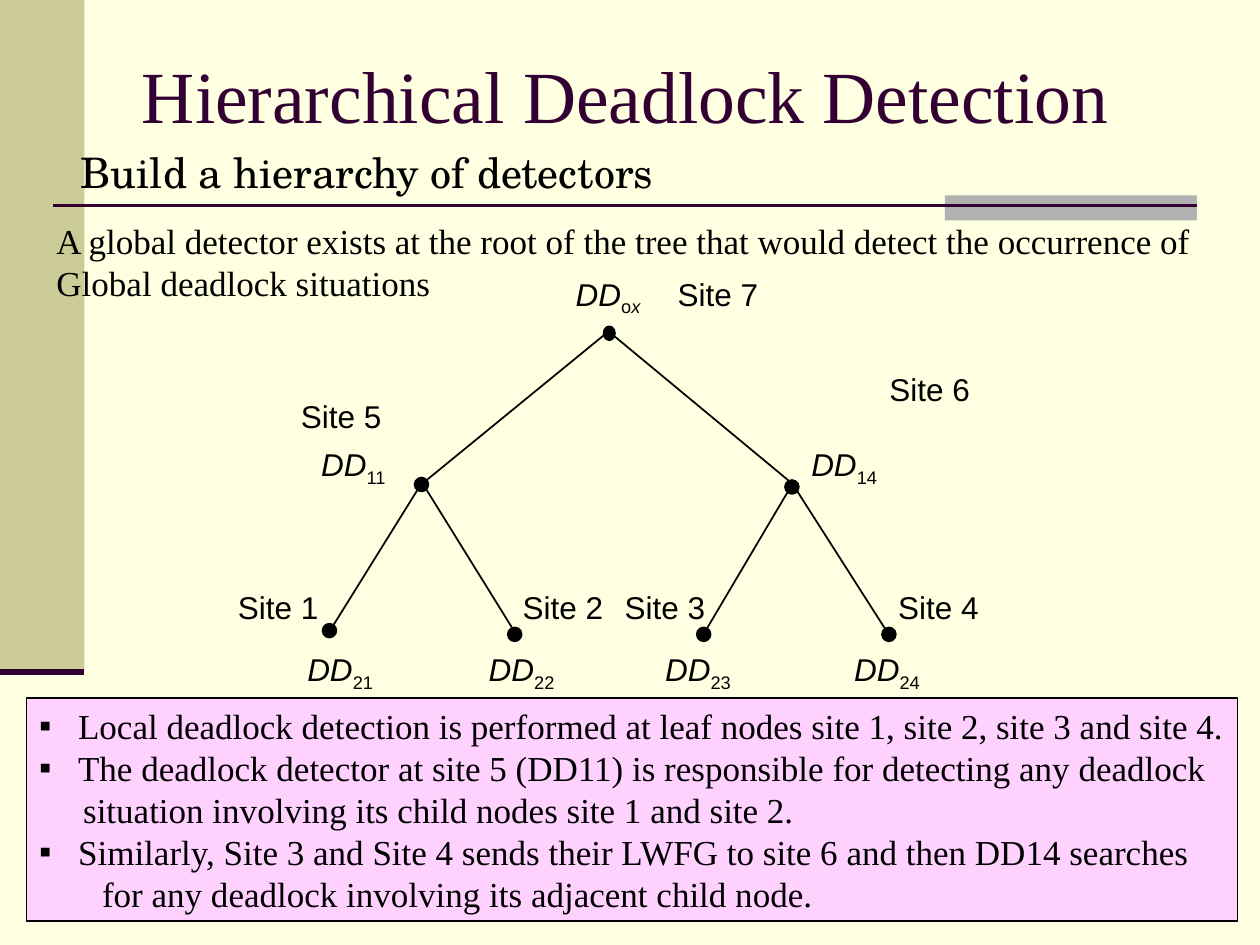
"""Build the Hierarchical Deadlock Detection slide."""
import pptx
import pptx.dml.color
import pptx.enum.shapes
import pptx.enum.text
import pptx.oxml
import pptx.oxml.ns
import pptx.util
from lxml import etree

Inches = pptx.util.Inches
Pt = pptx.util.Pt
RGBColor = pptx.dml.color.RGBColor
Shape = pptx.enum.shapes.MSO_SHAPE
Align = pptx.enum.text.PP_ALIGN
Anchor = pptx.enum.text.MSO_ANCHOR
qn = pptx.oxml.ns.qn

CREAM = RGBColor(0xFF, 0xFF, 0xE1)
OLIVE = RGBColor(0xCC, 0xCC, 0x99)
GREY = RGBColor(0xB2, 0xB2, 0xB2)
PLUM = RGBColor(0x33, 0x00, 0x33)
PINK = RGBColor(0xFF, 0xD1, 0xFF)
BLACK = RGBColor(0, 0, 0)
SERIF, SANS, SCHOOL = "Times New Roman", "Arial", "TeX Gyre Schola"

ROOT, LEFT, RIGHT = (4.83, 2.63), (3.35, 3.84), (6.29, 3.84)
EDGES = [(ROOT, LEFT), (ROOT, RIGHT), (RIGHT, (5.58, 5.04)), (RIGHT, (7.05, 5.03))]
LEFT_BRANCH = [(2.61, 5.02), (3.35, 3.83), (4.1, 5.04)]
NODES = [(2.56, 4.95), (4.03, 4.98), (5.53, 4.98), (7, 4.98), (3.29, 3.79), (6.23, 3.81)]
SITES = [("1", 1.79, 4.62), ("2", 4.05, 4.62), ("3", 4.86, 4.62), ("4", 7.03, 4.62),
         ("5", 2.29, 3.1), ("6", 6.96, 2.89), ("7", 5.28, 2.13)]
DETECTORS = [("21", 2.34, 5.11), ("22", 3.78, 5.11), ("23", 5.18, 5.11), ("24", 6.68, 5.11),
             ("11", 2.45, 3.48), ("14", 6.34, 3.48)]
INTRO = ["A global detector exists at the root of the tree that would detect the occurrence of",
         "Global deadlock situations"]
DUTIES = [
    ("Local deadlock detection is performed at leaf nodes site 1, site 2, site 3 and site 4.", 0.31, True),
    ("The deadlock detector at site 5 (DD11) is responsible for detecting any deadlock", 0.31, True),
    ("situation involving its child nodes site 1 and site 2.", 0.35, False),
    ("Similarly, Site 3 and Site 4 sends their LWFG to site 6 and then DD14 searches", 0.31, True),
    ("for any deadlock involving its adjacent child node.", 0.5, False),
]


class SlideBuilder:
    def __init__(self, slide):
        self.slide = slide
        slide.background.fill.solid()
        slide.background.fill.fore_color.rgb = CREAM

    def place(self, shape, left, top, width, height):
        shape.left, shape.top = Inches(left), Inches(top)
        shape.width, shape.height = Inches(width), Inches(height)

    def style(self, paragraph, font, size, color=BLACK, align=Align.LEFT):
        paragraph.alignment = align
        for span in paragraph.runs:
            span.font.name = font
            span.font.size = Pt(size)
            span.font.color.rgb = color

    def shape(self, kind, left, top, width, height, color, outlined=False):
        shape = self.slide.shapes.add_shape(
            kind, Inches(left), Inches(top), Inches(width), Inches(height))
        shape.shadow.inherit = False
        shape.fill.solid()
        shape.fill.fore_color.rgb = color
        if outlined:
            shape.line.color.rgb = BLACK
            shape.line.width = Pt(1)
        else:
            shape.line.fill.background()

    def line(self, start, end, color=BLACK, width=1):
        line = self.slide.shapes.add_connector(
            pptx.enum.shapes.MSO_CONNECTOR.STRAIGHT, *map(Inches, start + end))
        line.line.color.rgb = color
        line.line.width = Pt(width)
        etree.SubElement(line._element.spPr, qn("a:effectLst"))

    def branch(self, points):
        corners = [(Inches(x), Inches(y)) for x, y in points]
        builder = self.slide.shapes.build_freeform(*corners[0])
        builder.add_line_segments(corners[1:], close=False)
        branch = builder.convert_to_shape()
        branch.shadow.inherit = False
        branch.fill.background()
        branch.line.color.rgb = BLACK
        branch.line.width = Pt(1)

    def text(self, lines, left, top, width, height, font=SANS, size=18,
             wrap=False, align=Align.LEFT, insets=(0.1, 0.05)):
        box = self.slide.shapes.add_textbox(
            Inches(left), Inches(top), Inches(width), Inches(height))
        frame = box.text_frame
        frame.word_wrap = wrap
        frame.margin_left = frame.margin_right = Inches(insets[0])
        frame.margin_top = frame.margin_bottom = Inches(insets[1])
        frame.text = "\n".join(lines)
        for paragraph in frame.paragraphs:
            self.style(paragraph, font, size, align=align)
        return frame

    def detector(self, subscripts, left, top):
        paragraph = self.text(["DD"], left, top, 0.72, 0.44).paragraphs[0]
        paragraph.runs[0].font.italic = True
        for mark in subscripts:
            span = paragraph.add_run()
            span.text = mark
            span.font.italic = mark == "x"
            span.font._element.set("baseline", "-25000")
        self.style(paragraph, SANS, 18)

    def title(self, text):
        title = self.slide.shapes.title
        self.place(title, 0.21, 0.12, 9.51, 1.25)
        title.text_frame.text = text
        title.text_frame.vertical_anchor = Anchor.MIDDLE
        self.style(title.text_frame.paragraphs[0], SERIF, 42, PLUM, Align.CENTER)

    def bullet_list(self, items):
        body = self.slide.placeholders[1]
        self.place(body, 0.21, 5.54, 9.61, 1.77)
        body.fill.solid()
        body.fill.fore_color.rgb = PINK
        body.line.color.rgb = BLACK
        body.line.width = Pt(0.75)
        frame = body.text_frame
        frame.auto_size = pptx.enum.text.MSO_AUTO_SIZE.NONE
        frame.vertical_anchor = Anchor.TOP
        frame.margin_right = 0
        frame.text = "\n".join(text for text, _, _ in items)
        for paragraph, (_, indent, bulleted) in zip(frame.paragraphs, items):
            self.bullet(paragraph, indent, bulleted)
            paragraph.space_before = Pt(0)
            self.style(paragraph, SERIF, 20, align=Align.JUSTIFY)

    def bullet(self, paragraph, indent, bulleted):
        settings = paragraph._p.get_or_add_pPr()
        settings.set("marL", str(Inches(indent)))
        settings.set("indent", str(-Inches(indent) if bulleted else 0))
        if bulleted:
            color = etree.SubElement(settings, qn("a:buClr"))
            etree.SubElement(color, qn("a:srgbClr"), val=str(BLACK))
            etree.SubElement(settings, qn("a:buFont"), typeface=SERIF)
            etree.SubElement(settings, qn("a:buChar"), char="▪")
        else:
            etree.SubElement(settings, qn("a:buNone"))


def main():
    deck = pptx.Presentation()
    deck.slide_width, deck.slide_height = Inches(10), Inches(7.5)
    page = SlideBuilder(deck.slides.add_slide(deck.slide_layouts[1]))

    page.shape(Shape.RECTANGLE, 0, 0, 0.67, 5.33, OLIVE)
    page.shape(Shape.RECTANGLE, 7.5, 1.55, 2, 0.2, GREY)
    page.line((0.42, 1.63), (9.5, 1.63), PLUM, 1.5)
    page.line((0, 5.33), (0.67, 5.33), PLUM, 3.5)
    page.title("Hierarchical Deadlock Detection")
    page.text(["Build a hierarchy of detectors"], 0.57, 1.13, 4.71, 0.46,
              SCHOOL, 24, insets=(0.07, 0.03))
    page.text(INTRO, 0.35, 1.69, 9.5, 0.77, SERIF, 20, wrap=True, align=Align.JUSTIFY)

    page.branch(LEFT_BRANCH)
    for start, end in EDGES:
        page.line(start, end)
    for left, top in NODES:
        page.shape(Shape.OVAL, left, top, 0.11, 0.11, BLACK, outlined=True)
    page.shape(Shape.OVAL, 4.79, 2.59, 0.09, 0.11, BLACK, outlined=True)
    for number, left, top in SITES:
        page.text([f"Site {number}"], left, top, 0.84, 0.4)
    for number, left, top in DETECTORS:
        page.detector([number], left, top)
    page.detector(["o", "x"], 4.47, 2.13)
    page.bullet_list(DUTIES)
    deck.save("out.pptx")


if __name__ == "__main__":
    main()
